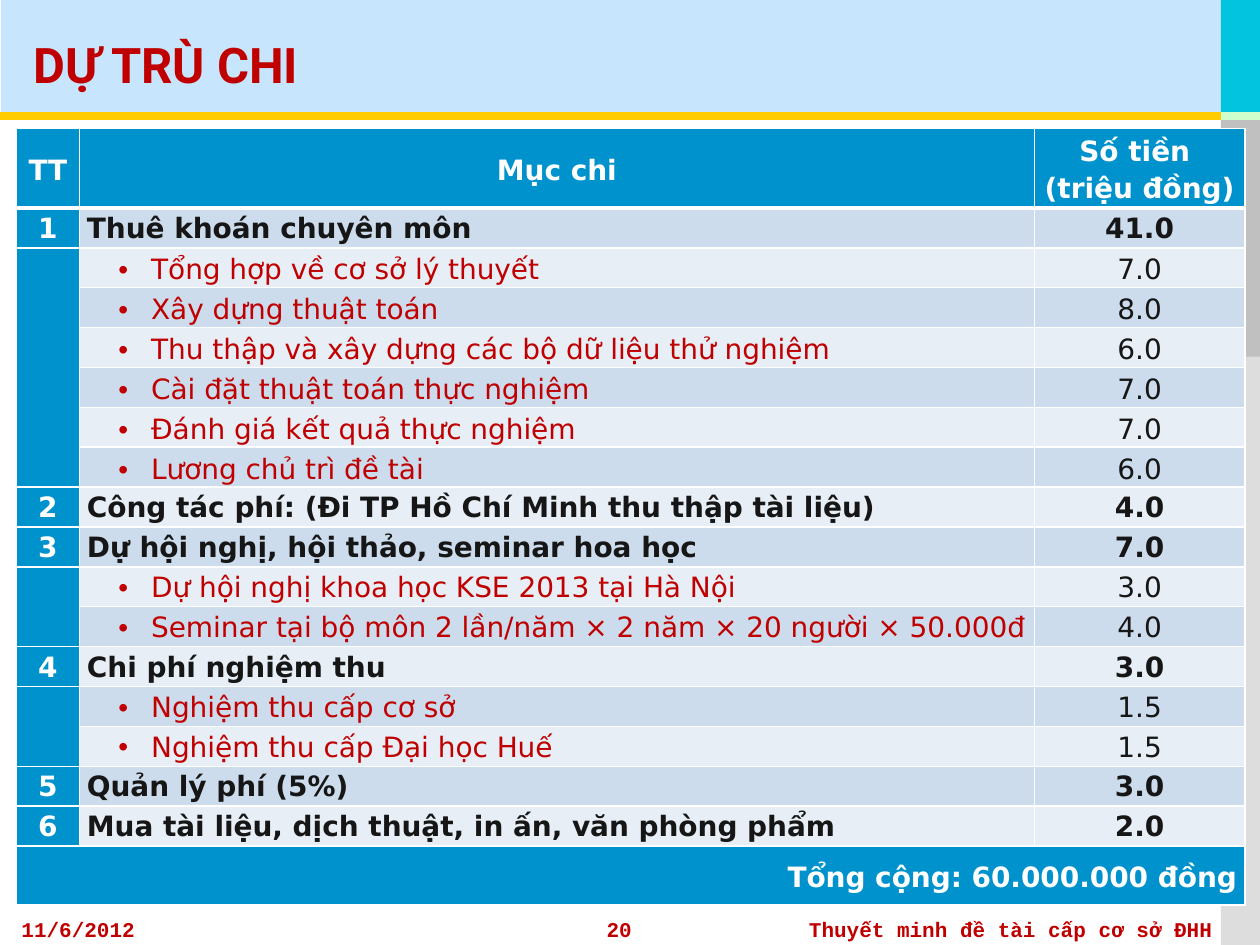
from lxml import etree
from pptx import Presentation
from pptx.dml.color import RGBColor
from pptx.enum.shapes import MSO_CONNECTOR, MSO_SHAPE
from pptx.enum.text import MSO_ANCHOR, PP_ALIGN
from pptx.oxml.ns import qn
from pptx.util import Inches, Pt

LEFT, CENTER, RIGHT, JUSTIFY = PP_ALIGN.LEFT, PP_ALIGN.CENTER, PP_ALIGN.RIGHT, PP_ALIGN.JUSTIFY
TOP, MIDDLE = MSO_ANCHOR.TOP, MSO_ANCHOR.MIDDLE
RECTANGLE, STRAIGHT = MSO_SHAPE.RECTANGLE, MSO_CONNECTOR.STRAIGHT

BLUE, RED, INK, WHITE = "0092CC", "C00000", "161616", "FFFFFF"
BANDS = ("CCDCEC", "E7EEF6")

PANELS = [
    (0.01, 0, 9.99, 0.91, "C7E6FD"),
    (9.69, 2.78, 0.31, 4.72, "DDDDDD"),
    (9.69, 0, 0.31, 0.94, "02C4DE"),
    (9.69, 0.92, 0.31, 1.91, "C0C0C0"),
]
RULES = [(9.67, 10, "CCFFCC"), (0, 9.69, "FFCC00")]
TITLE = "DỰ TRÙ CHI"
FOOTERS = [
    ("11/6/2012", 0.17, 2.58, LEFT),
    ("Thuyết minh đề tài cấp cơ sở ĐHH", 5.83, 3.79, RIGHT),
    ("20", 3.75, 2.33, CENTER),
]
HEADERS = ["TT", "Mục chi", "Số tiền \v(triệu đồng)"]
GROUPS = [
    ("Thuê khoán chuyên môn", "41.0", MIDDLE, [
        ("Tổng hợp về cơ sở lý thuyết", "7.0"),
        ("Xây dựng thuật toán", "8.0"),
        ("Thu thập và xây dựng các bộ dữ liệu thử nghiệm", "6.0"),
        ("Cài đặt thuật toán thực nghiệm", "7.0"),
        ("Đánh giá kết quả thực nghiệm", "7.0"),
        ("Lương chủ trì đề tài", "6.0"),
    ]),
    ("Công tác phí: (Đi TP Hồ Chí Minh thu thập tài liệu)", "4.0", TOP, []),
    ("Dự hội nghị, hội thảo, seminar hoa học", "7.0", TOP, [
        ("Dự hội nghị khoa học KSE 2013 tại Hà Nội", "3.0"),
        ("Seminar tại bộ môn 2 lần/năm × 2 năm × 20 người × 50.000đ", "4.0"),
    ]),
    ("Chi phí nghiệm thu", "3.0", TOP, [
        ("Nghiệm thu cấp cơ sở", "1.5"),
        ("Nghiệm thu cấp Đại học Huế", "1.5"),
    ]),
    ("Quản lý phí (5%)", "3.0", TOP, []),
    ("Mua tài liệu, dịch thuật, in ấn, văn phòng phẩm", "2.0", TOP, []),
]
TOTAL = "Tổng cộng: 60.000.000 đồng"
COLUMN_WIDTHS = [0.5, 7.58, 1.67]
TABLE_HEIGHT, HEADER_HEIGHT, TOTAL_HEIGHT = 6.17, 0.63, 0.47


def color(value):
    return RGBColor.from_string(value)


def format_text(para, size, font, ink, bold, align):
    para.alignment = align
    for span in para.runs:
        span.font.size = Pt(size)
        span.font.name = font
        span.font.bold = bold
        span.font.color.rgb = color(ink)


def add_text(page, text, left, top, width, height, size, font, align, inset):
    box = page.shapes.add_textbox(Inches(left), Inches(top), Inches(width), Inches(height))
    frame = box.text_frame
    frame.word_wrap = True
    frame.vertical_anchor = MIDDLE
    frame.margin_left = frame.margin_right = Inches(inset)
    frame.margin_top = frame.margin_bottom = Inches(0)
    frame.text = text
    format_text(frame.paragraphs[0], size, font, RED, True, align)


def style_cell(cell, fill, bottom):
    cell.margin_left = cell.margin_right = Inches(0.06)
    cell.margin_top = cell.margin_bottom = Inches(0)
    properties = cell._tc.get_or_add_tcPr()
    for side, width in (("L", 1), ("R", 1), ("T", 1), ("B", bottom)):
        border = etree.SubElement(properties, qn("a:ln" + side), w=str(Pt(width)))
        solid = etree.SubElement(border, qn("a:solidFill"))
        etree.SubElement(solid, qn("a:srgbClr"), val=WHITE)
    cell.fill.solid()
    cell.fill.fore_color.rgb = color(fill)


def write_cell(cell, text, ink, bold, align, anchor, gap=2):
    cell.vertical_anchor = anchor
    cell.text_frame.text = text
    para = cell.text_frame.paragraphs[0]
    para.line_spacing = 1.15
    para.space_before = para.space_after = Pt(gap)
    format_text(para, 16, "DejaVu Sans", ink, bold, align)
    return para


def add_bullet(para):
    properties = para._p.get_or_add_pPr()
    properties.set("marL", str(Inches(0.51)))
    properties.set("indent", str(Inches(-0.26)))
    etree.SubElement(properties, qn("a:buFont"), typeface="Arial")
    etree.SubElement(properties, qn("a:buChar"), char="•")


def add_budget(page):
    body_count = sum(1 + len(details) for _, _, _, details in GROUPS)
    last = body_count + 1
    table = page.shapes.add_table(
        body_count + 2, 3, Inches(0.13), Inches(1.02),
        Inches(sum(COLUMN_WIDTHS)), Inches(TABLE_HEIGHT)).table
    for column, width in zip(table.columns, COLUMN_WIDTHS):
        column.width = Inches(width)
    body_height = (TABLE_HEIGHT - HEADER_HEIGHT - TOTAL_HEIGHT) / body_count
    for index, row in enumerate(table.rows):
        row.height = Inches({0: HEADER_HEIGHT, last: TOTAL_HEIGHT}.get(index, body_height))
        for position, cell in enumerate(row.cells):
            solid = index in (0, last) or position == 0
            style_cell(cell, BLUE if solid else BANDS[(index - 1) % 2], 1 if index else 3)
    for position, header in enumerate(HEADERS):
        write_cell(table.cell(0, position), header, WHITE, True, CENTER, MIDDLE)

    index = 1
    for number, (name, amount, anchor, details) in enumerate(GROUPS, 1):
        write_cell(table.cell(index, 0), str(number), WHITE, True, CENTER, TOP)
        write_cell(table.cell(index, 1), name, INK, True, JUSTIFY, TOP)
        write_cell(table.cell(index, 2), amount, INK, True, CENTER, TOP)
        first = index + 1
        for index, (detail, cost) in enumerate(details, first):
            add_bullet(write_cell(table.cell(index, 1), detail, RED, False, JUSTIFY, anchor))
            write_cell(table.cell(index, 2), cost, INK, False, CENTER, anchor)
        if details:
            table.cell(first, 0).merge(table.cell(index, 0))
        index += 1
    table.cell(last, 0).merge(table.cell(last, 2))
    write_cell(table.cell(last, 0), TOTAL, WHITE, True, RIGHT, MIDDLE, 4)


deck = Presentation()
deck.slide_width, deck.slide_height = Inches(10), Inches(7.5)
page = deck.slides.add_slide(deck.slide_layouts[6])

for left, top, width, height, fill in PANELS:
    panel = page.shapes.add_shape(
        RECTANGLE, Inches(left), Inches(top), Inches(width), Inches(height))
    panel.shadow.inherit = False
    panel.fill.solid()
    panel.fill.fore_color.rgb = color(fill)
    panel.line.fill.background()

for start, end, ink in RULES:
    rule = page.shapes.add_connector(
        STRAIGHT, Inches(start), Inches(0.92), Inches(end), Inches(0.92))
    rule.line.color.rgb = color(ink)
    rule.line.width = Pt(4.5)
    etree.SubElement(rule._element.spPr, qn("a:effectLst"))

add_text(page, TITLE, 0.17, 0.17, 9.67, 0.67, 28, "Roboto", LEFT, 0.1)
add_budget(page)
for text, left, width, align in FOOTERS:
    add_text(page, text, left, 7.25, width, 0.25, 12, "Courier New", align, 0)

deck.save("out.pptx")
